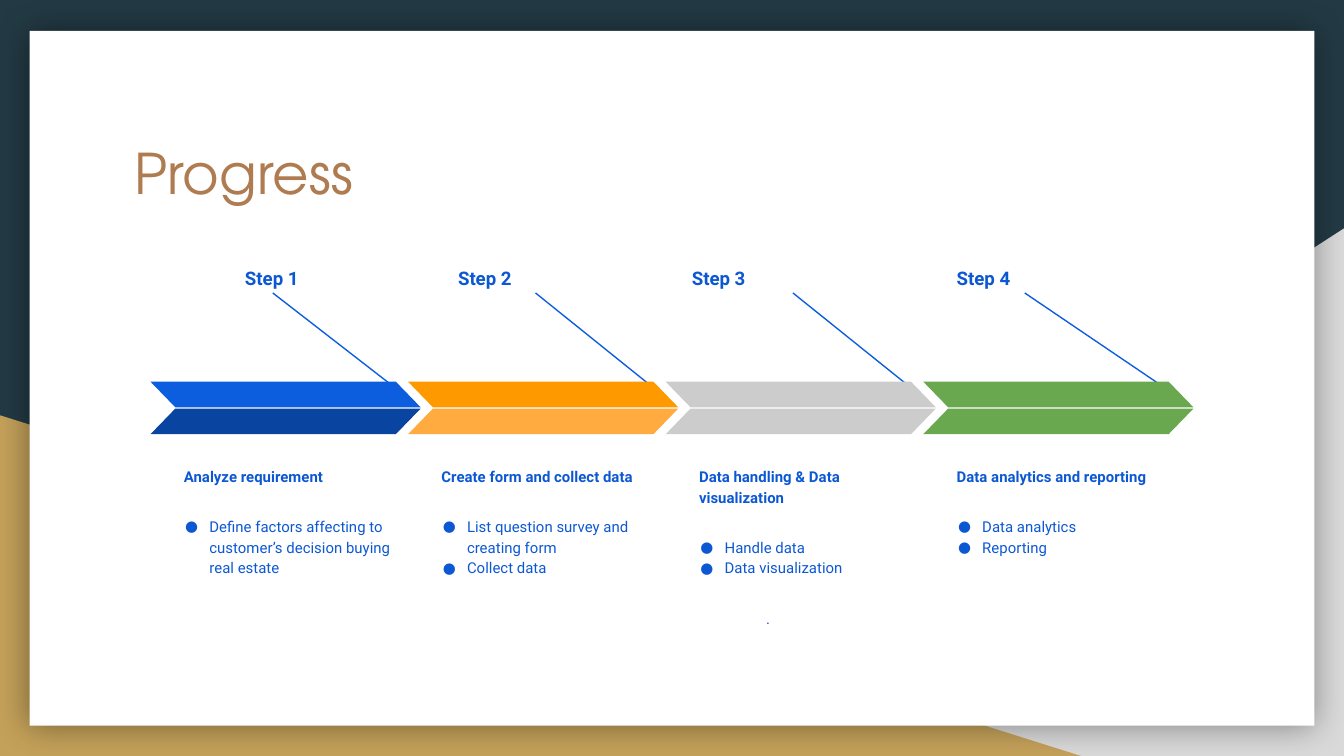
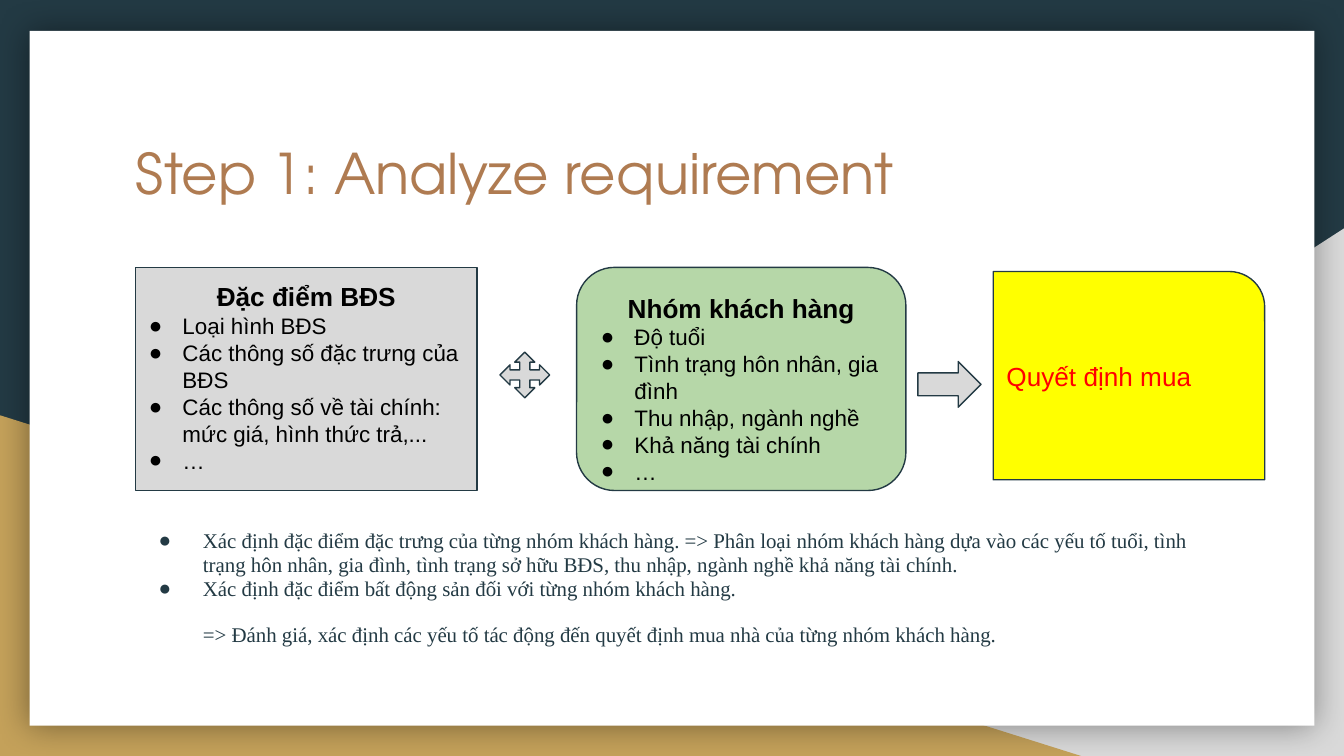
from dataclasses import dataclass, replace
from typing import Any

from lxml import etree
from pptx import Presentation
from pptx import util as u
from pptx.dml.color import RGBColor
from pptx.enum import shapes as kinds, text as txt
from pptx.oxml import ns

Inch = u.Inches
Kind = kinds.MSO_SHAPE
Align = txt.PP_ALIGN
Anchor = txt.MSO_ANCHOR


@dataclass(frozen=True)
class Theme:
    navy: str = "233A44"
    gray: str = "D9D9D9"
    gold: str = "C4A15A"
    white: str = "FFFFFF"
    brown: str = "AF7B51"
    blue: str = "0C58D3"
    bright: str = "0D5DDF"
    deep: str = "0944A1"
    orange: str = "FF9900"
    amber: str = "FFAB40"
    silver: str = "CCCCCC"
    green: str = "6AA84F"
    mint: str = "B6D7A8"
    yellow: str = "FFFF00"
    red: str = "FF0000"
    black: str = "000000"
    title_font: str = "TeX Gyre Adventor"
    step_font: str = "Roboto"
    box_font: str = "Arial"
    note_font: str = "Times New Roman"
    title_size: float = 30
    label_size: float = 10
    step_size: float = 8
    head_size: float = 14
    item_size: float = 12
    note_size: float = 11.2
    rule: float = 0.75


T = Theme()


@dataclass(frozen=True)
class Box:
    left: float
    top: float
    width: float
    height: float

    def size(self) -> tuple[int, ...]:
        return tuple(Inch(n) for n in (self.left, self.top, self.width, self.height))


@dataclass(frozen=True)
class Para:
    text: str
    font: str
    size: float
    color: str
    bold: bool = False
    bullet: bool = False
    margin: float = 0
    indent: float = 0
    line: float = 1.0
    before: float = 0
    after: float = 0
    align: Any = Align.LEFT


@dataclass(frozen=True)
class Form:
    """A preset shape with its look and any text."""
    kind: Any
    box: Box
    fill: str
    line: str | None = None
    adjust: tuple[float, ...] = ()
    flip: bool = False
    paras: tuple[Para, ...] = ()
    anchor: Any = Anchor.TOP


@dataclass(frozen=True)
class Step:
    label: str
    left: float
    width: float
    upper: str
    lower: str
    head: str
    items: tuple[str, ...]
    tail: str = ""


def apply(target: Any, values: dict[str, Any]) -> None:
    for name, value in values.items():
        setattr(target, name, value)


def add_node(parent: Any, tag: str, **values: Any) -> Any:
    node = etree.SubElement(parent, ns.qn(tag))
    for name, value in values.items():
        node.set(name, str(value))
    return node


def place(shape: Any, box: Box) -> None:
    apply(shape, dict(zip(("left", "top", "width", "height"), box.size())))


def write(frame: Any, paras: tuple[Para, ...], anchor: Any = Anchor.TOP) -> None:
    sides = ("margin_left", "margin_top", "margin_right", "margin_bottom")
    apply(frame, {"word_wrap": True, "auto_size": txt.MSO_AUTO_SIZE.NONE,
                  "vertical_anchor": anchor, **dict.fromkeys(sides, Inch(0.1))})
    for i, item in enumerate(paras):
        para = frame.add_paragraph() if i else frame.paragraphs[0]
        apply(para, {"alignment": item.align, "line_spacing": item.line,
                     "space_before": u.Pt(item.before), "space_after": u.Pt(item.after)})
        props = para._p.get_or_add_pPr()
        props.set("marL", str(Inch(item.margin)))
        props.set("indent", str(Inch(item.indent)))
        if item.bullet:
            add_node(add_node(props, "a:buClr"), "a:srgbClr", val=item.color)
            add_node(props, "a:buFont", typeface=item.font)
            add_node(props, "a:buChar", char="●")
        else:
            add_node(props, "a:buNone")
        run = para.add_run()
        run.text = item.text
        apply(run.font, {"name": item.font, "size": u.Pt(item.size), "bold": item.bold})
        run.font.color.rgb = RGBColor.from_string(item.color)


def draw(parent: Any, form: Form) -> Any:
    shape = parent.shapes.add_shape(form.kind, *form.box.size())
    shape.shadow.inherit = False
    shape.fill.solid()
    shape.fill.fore_color.rgb = RGBColor.from_string(form.fill)
    if form.line:
        shape.line.color.rgb = RGBColor.from_string(form.line)
        shape.line.width = u.Pt(T.rule)
    else:
        shape.line.fill.background()
    for i, value in enumerate(form.adjust):
        shape.adjustments[i] = value
    if form.flip:
        shape.element.spPr.find(ns.qn("a:xfrm")).set("flipH", "1")
    if form.paras:
        write(shape.text_frame, form.paras, form.anchor)
    return shape


def add_text(parent: Any, box: Box, *paras: Para) -> Any:
    shape = parent.shapes.add_textbox(*box.size())
    write(shape.text_frame, paras)
    return shape


def dress(master: Any, slide: Any) -> None:
    """Give the master its backdrop; shapes are drawn on a slide, then moved."""
    master.background.fill.solid()
    master.background.fill.fore_color.rgb = RGBColor.from_string(T.navy)
    forms = (
        Form(Kind.RIGHT_TRIANGLE, Box(3.92, 1.7, 6.08, 3.93), T.gray, flip=True),
        Form(Kind.RIGHT_TRIANGLE, Box(0, 3.09, 8.06, 2.54), T.gold),
        Form(Kind.RECTANGLE, Box(0.22, 0.23, 9.56, 5.17), T.white),
    )
    for i, form in enumerate(forms):
        shape = draw(slide, form)
        master.shapes.element.insert(2 + i, shape.element)
    glow = add_node(shape.element.spPr.find(ns.qn("a:effectLst")), "a:outerShdw",
                    blurRad=u.Pt(18), dist=0, dir=0, algn="ctr", rotWithShape=0)
    add_node(add_node(glow, "a:srgbClr", val=T.black), "a:alpha", val=40000)


def set_title(slide: Any, text: str, left: float) -> None:
    place(slide.shapes.title, Box(left, 0.93, 8.21, 1.04))
    write(slide.shapes.title.text_frame,
          (Para(text, T.title_font, T.title_size, T.brown),))


def draw_step(slide: Any, left: float, step: Step) -> None:
    group = slide.shapes.add_group_shape()
    head = Para(step.head, T.step_font, T.step_size, T.blue, bold=True, line=1.15)
    item = replace(head, bold=False, bullet=True, margin=0.19, indent=-0.18)
    paras = [head] + [replace(item, text=text, before=0 if i else 16)
                      for i, text in enumerate(step.items)]
    if step.tail:
        paras.append(replace(head, text=step.tail, bold=False, margin=0.5,
                             before=16, after=16))
    label = add_text(group, Box(step.left, 1.86, step.width, 0.32),
                     replace(head, text=step.label, size=T.label_size))
    add_text(group, Box(left + 0.15, 3.36, 1.77, 1.59), *paras)

    rule = group.shapes.add_connector(kinds.MSO_CONNECTOR.STRAIGHT, Inch(step.left),
                                      Inch(2.18), Inch(left + 1.98), Inch(3.01))
    rule.begin_connect(label, 2)
    rule.line.color.rgb = RGBColor.from_string(T.bright)
    rule.line.width = u.Pt(T.rule)
    add_node(rule.element.spPr, "a:effectLst")

    for top, fill, flip in ((2.84, step.upper, True), (3.04, step.lower, False)):
        draw(group, Form(Kind.PARALLELOGRAM, Box(left, top, 2.01, 0.19), fill,
                         adjust=(0.97,), flip=flip))


def build_steps(slide: Any) -> None:
    set_title(slide, "Progress", 0.9)
    steps = (
        Step(" Step 1", 1.69, 0.68, T.bright, T.deep, "Analyze requirement",
             ("Define factors affecting to customer’s decision buying real estate",)),
        Step("Step 2", 3.31, 1.35, T.orange, T.amber, "Create form and collect data",
             ("List question survey and creating form", "Collect data")),
        Step("Step 3", 5.05, 1.7, T.silver, T.silver,
             "Data handling & Data visualization",
             ("Handle data", "Data visualization"), "."),
        Step("Step 4", 7.02, 1.21, T.green, T.green, "Data analytics and reporting",
             ("Data analytics", "Reporting")),
    )
    first, last = 1.12, 6.87
    pitch = (last - first) / (len(steps) - 1)
    for i, step in enumerate(steps):
        draw_step(slide, first + i * pitch, step)


def make_list(head: str, indent: float, *items: str) -> tuple[Para, ...]:
    """Build a centred bold heading with bullets under it."""
    top = Para(head, T.box_font, T.head_size, T.black, bold=True, align=Align.CENTER)
    item = Para("", T.box_font, T.item_size, T.black, bullet=True,
                margin=0.25, indent=indent)
    return (top, *(replace(item, text=text) for text in items))


def build_needs(slide: Any) -> None:
    set_title(slide, "Step 1: Analyze requirement", 0.91)
    body = slide.placeholders[1]
    place(body, Box(0.91, 3.84, 8.37, 1.2))
    note = Para("Xác định đặc điểm đặc trưng của từng nhóm khách hàng. => Phân loại nhóm "
                "khách hàng dựa vào các yếu tố tuổi, tình trạng hôn nhân, gia đình, tình "
                "trạng sở hữu BĐS, thu nhập, ngành nghề khả năng tài chính.",
                T.note_font, T.note_size, T.navy, bullet=True,
                margin=0.5, indent=-0.33, line=0.95)
    write(body.text_frame, (
        note,
        replace(note, text="Xác định đặc điểm bất động sản đối với từng nhóm khách hàng."),
        replace(note, text="=> Đánh giá, xác định các yếu tố tác động đến quyết định mua "
                "nhà của từng nhóm khách hàng.",
                bullet=False, indent=0, before=12, after=12),
    ))
    traits = make_list("Đặc điểm BĐS", -0.27, "Loại hình BĐS",
                       "Các thông số đặc trưng của BĐS",
                       "Các thông số về tài chính: mức giá, hình thức trả,...", "…")
    buyers = make_list("Nhóm khách hàng", -0.33, "Độ tuổi",
                       "Tình trạng hôn nhân, gia đình", "Thu nhập, ngành nghề",
                       "Khả năng tài chính", "…")
    choice = Para("Quyết định mua", T.box_font, T.head_size, T.red)
    for form in (
        Form(Kind.RECTANGLE, Box(1.01, 1.99, 2.54, 1.66), T.gray, T.navy, paras=traits),
        Form(Kind.ROUNDED_RECTANGLE, Box(4.29, 1.99, 2.45, 1.66), T.mint, T.navy,
             (0.17,), paras=buyers),
        Form(Kind.ROUND_1_RECTANGLE, Box(7.39, 2.02, 2.02, 1.55), T.yellow, T.navy,
             (0.17,), paras=(choice,), anchor=Anchor.MIDDLE),
        Form(Kind.RIGHT_ARROW, Box(6.83, 2.69, 0.47, 0.34), T.gray, T.navy, (0.5, 0.5)),
        Form(Kind.QUAD_ARROW, Box(3.72, 2.62, 0.37, 0.34), T.gray, T.navy, (0.22,) * 3),
    ):
        draw(slide, form)


def main() -> None:
    deck = Presentation()
    wide = Inch(10)
    apply(deck, {"slide_width": wide, "slide_height": wide * 9 // 16})
    steps = deck.slides.add_slide(deck.slide_layouts.get_by_name("Title Only"))
    needs = deck.slides.add_slide(deck.slide_layouts.get_by_name("Title and Content"))
    dress(deck.slide_master, steps)
    build_steps(steps)
    build_needs(needs)
    deck.save("out.pptx")


if __name__ == "__main__":
    main()
